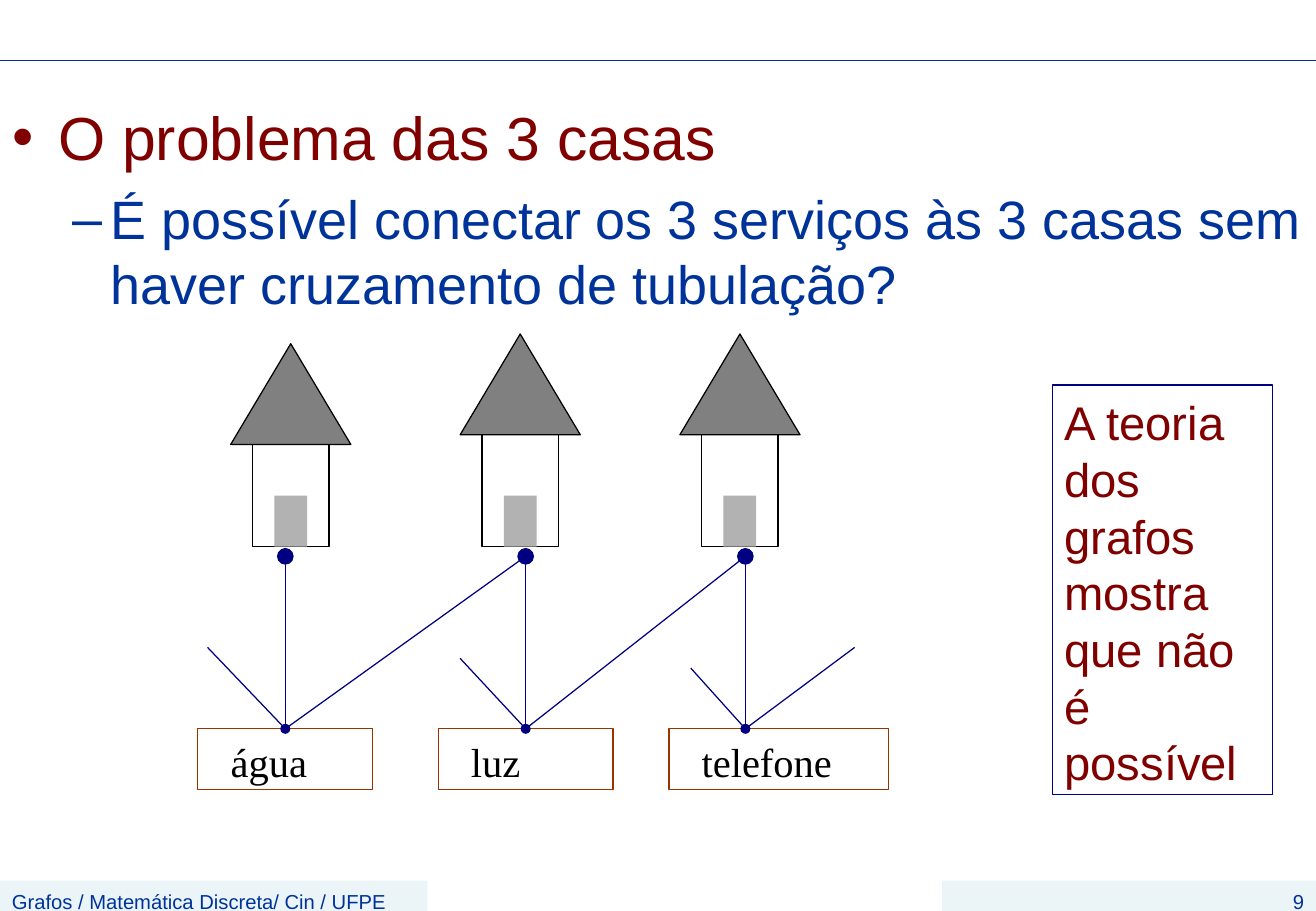
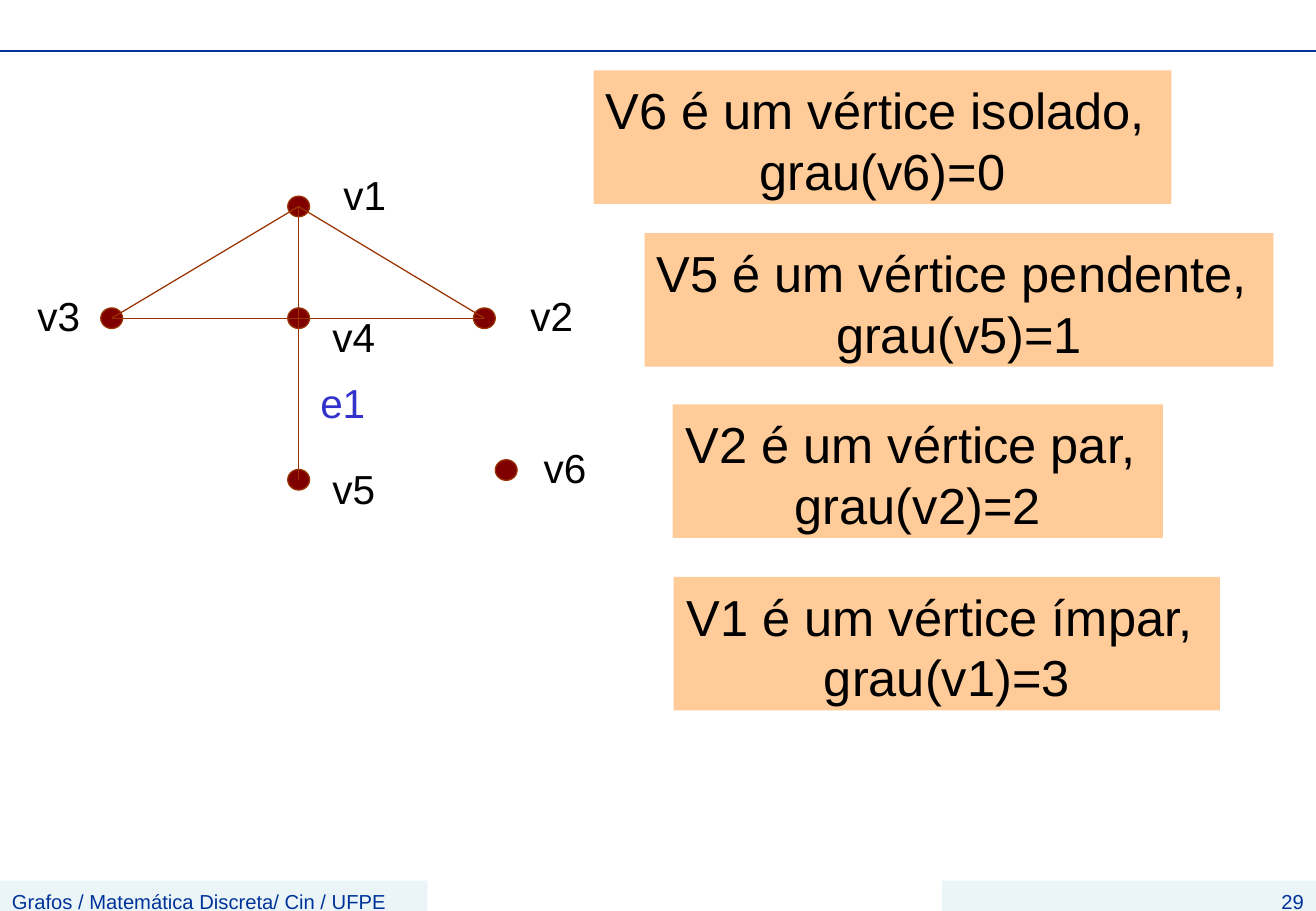
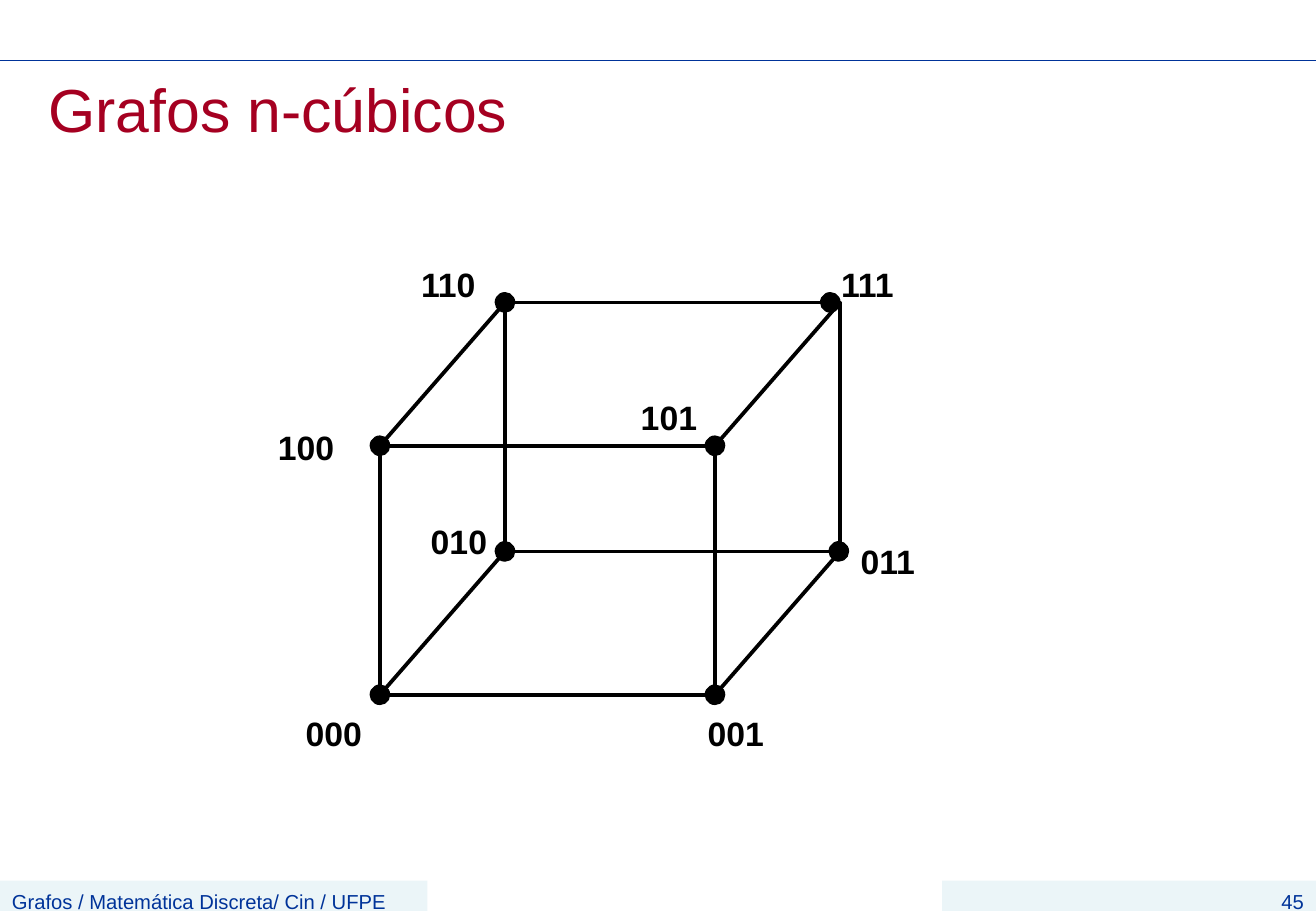
from dataclasses import dataclass

from pptx import Presentation
from pptx.dml.color import RGBColor
from pptx.enum.shapes import MSO_CONNECTOR, MSO_SHAPE
from pptx.enum.text import MSO_ANCHOR, MSO_AUTO_SIZE, PP_ALIGN
from pptx.oxml.ns import qn
from pptx.util import Inches, Pt
from lxml import etree

RECTANGLE = MSO_SHAPE.RECTANGLE
TRIANGLE = MSO_SHAPE.ISOSCELES_TRIANGLE
OVAL = MSO_SHAPE.OVAL
STRAIGHT = MSO_CONNECTOR.STRAIGHT
TOP = MSO_ANCHOR.TOP
NO_AUTOFIT = MSO_AUTO_SIZE.NONE
LEFT, CENTER, RIGHT = PP_ALIGN.LEFT, PP_ALIGN.CENTER, PP_ALIGN.RIGHT

TITLE_AND_CONTENT, TITLE_ONLY, BLANK = 1, 5, 6
WIDTH, HEIGHT = 10.84, 7.5
BLUE, NAVY, MAROON, BROWN = "003399", "000080", "800000", "993300"
CRIMSON, INDIGO, BLACK, WHITE = "A50021", "3333CC", "000000", "FFFFFF"
BAND, PEACH, ROOF, DOOR = "D9ECF3", "FFCC99", "808080", "B2B2B2"


@dataclass(frozen=True)
class House:
    left: float
    top: float


@dataclass(frozen=True)
class Service:
    name: str
    left: float
    width: float
    pipe_x: float
    stub_ends: tuple


@dataclass(frozen=True)
class Vertex:
    label: str
    x: float
    y: float
    label_left: float
    label_top: float


@dataclass(frozen=True)
class Note:
    text: str
    left: float
    top: float
    width: float


HOUSES = [House(1.9, 2.83), House(3.79, 2.75), House(5.6, 2.75)]
SERVICES = [
    Service("água", 1.63, 1.44, 2.35, ((1.71, 5.33),)),
    Service("luz", 3.61, 1.44, 4.33, ((3.79, 5.42),)),
    Service("telefone", 5.51, 1.81, 6.14, ((5.69, 5.5), (7.04, 5.33))),
]
DEGREE_VERTICES = [
    Vertex("v1", 2.46, 1.7, 2.73, 1.33),
    Vertex("v2", 3.99, 2.62, 4.27, 2.33),
    Vertex("v3", 0.92, 2.62, 0.21, 2.33),
    Vertex("v4", 2.46, 2.62, 2.64, 2.5),
    Vertex("v5", 2.46, 3.95, 2.64, 3.75),
    Vertex("v6", 4.17, 3.87, 4.38, 3.58),
]
DEGREE_EDGES = [("v3", "v2"), ("v5", "v1"), ("v3", "v1"), ("v1", "v2")]
NOTES = [
    Note("V6 é um vértice isolado, \ngrau(v6)=0", 4.89, 0.58, 4.76),
    Note("V5 é um vértice pendente, \ngrau(v5)=1", 5.31, 1.92, 5.18),
    Note("V2 é um vértice par, \ngrau(v2)=2", 5.54, 3.33, 4.04),
    Note("V1 é um vértice ímpar, \ngrau(v1)=3", 5.55, 4.75, 4.5),
]
CUBE_VERTICES = [
    Vertex("000", 3.13, 5.72, 2.42, 5.8),
    Vertex("001", 5.89, 5.72, 5.73, 5.8),
    Vertex("010", 4.16, 4.54, 3.45, 4.22),
    Vertex("011", 6.91, 4.54, 6.99, 4.38),
    Vertex("100", 3.13, 3.67, 2.19, 3.44),
    Vertex("101", 5.89, 3.67, 5.18, 3.2),
    Vertex("110", 4.16, 2.49, 3.37, 2.1),
    Vertex("111", 6.84, 2.49, 6.83, 2.1),
]


def color(value: str) -> RGBColor:
    return RGBColor.from_string(value)


def set_bullet(paragraph, symbol: str, ink: str, indent: float, hanging: float) -> None:
    properties = paragraph._p.get_or_add_pPr()
    properties.set("marL", str(Inches(indent)))
    properties.set("indent", str(-Inches(hanging)))
    bullet_color = etree.SubElement(properties, qn("a:buClr"))
    etree.SubElement(bullet_color, qn("a:srgbClr"), val=ink)
    etree.SubElement(properties, qn("a:buFont"), typeface="Arial")
    etree.SubElement(properties, qn("a:buChar"), char=symbol)


def format_paragraph(paragraph, text: str, *, size: float, ink: str, font: str = "Arial",
                     bold: bool = False, align=LEFT, leading: float = 1.2) -> None:
    paragraph.text = text
    paragraph.alignment = align
    paragraph.space_before = Pt(0)
    paragraph.line_spacing = Pt(size * leading)
    paragraph.font.size = Pt(size)
    paragraph.font.name = font
    paragraph.font.bold = bold
    paragraph.font.color.rgb = color(ink)


def prepare_frame(shape, wrap: bool = True, left_inset: float = 0.1):
    frame = shape.text_frame
    frame.word_wrap = wrap
    frame.auto_size = NO_AUTOFIT
    frame.vertical_anchor = TOP
    frame.margin_left, frame.margin_right = Inches(left_inset), Inches(0.1)
    frame.margin_top, frame.margin_bottom = Inches(0.07), Inches(0.05)
    return frame


def write(shape, text: str, *, wrap: bool = True, left_inset: float = 0.1, **text_format) -> None:
    """Fill a shape with one paragraph per line of text."""
    frame = prepare_frame(shape, wrap, left_inset)
    for index, line in enumerate(text.split("\n")):
        paragraph = frame.add_paragraph() if index else frame.paragraphs[0]
        format_paragraph(paragraph, line, **text_format)


def place(shape, left: float, top: float, width: float, height: float) -> None:
    shape.left, shape.top = Inches(left), Inches(top)
    shape.width, shape.height = Inches(width), Inches(height)


def add_box(slide, kind, left: float, top: float, width: float, height: float, *,
            fill: str | None = None, line: str | None = None, weight: float = 0.75):
    shape = slide.shapes.add_shape(kind, Inches(left), Inches(top), Inches(width), Inches(height))
    shape.shadow.inherit = False
    if fill:
        shape.fill.solid()
        shape.fill.fore_color.rgb = color(fill)
    else:
        shape.fill.background()
    if line:
        shape.line.color.rgb = color(line)
        shape.line.width = Pt(weight)
    else:
        shape.line.fill.background()
    return shape


def add_label(slide, text: str, left: float, top: float, width: float, height: float,
              **text_format) -> None:
    box = slide.shapes.add_textbox(Inches(left), Inches(top), Inches(width), Inches(height))
    write(box, text, **text_format)


def add_line(slide, start: tuple, end: tuple, ink: str, weight: float = 0.75):
    connector = slide.shapes.add_connector(
        STRAIGHT, Inches(start[0]), Inches(start[1]), Inches(end[0]), Inches(end[1]))
    connector.line.color.rgb = color(ink)
    connector.line.width = Pt(weight)
    etree.SubElement(connector._element.spPr, qn("a:effectLst"))
    return connector


def add_oval_ends(connector) -> None:
    """Put a medium dot at the start of a line and a large one at its end."""
    outline = connector.line._get_or_add_ln()
    for tag, size in (("a:headEnd", "med"), ("a:tailEnd", "lg")):
        etree.SubElement(outline, qn(tag), type="oval", w=size, len=size)


def add_dot(slide, vertex: Vertex, width: float, height: float, fill: str, line: str) -> None:
    add_box(slide, OVAL, vertex.x - width / 2, vertex.y - height / 2, width, height,
            fill=fill, line=line)


def add_band(slide, left: float, width: float, text: str, align) -> None:
    band = add_box(slide, RECTANGLE, left, 7.25, width, 0.25, fill=BAND)
    tint = band._element.spPr.find(qn("a:solidFill")).find(qn("a:srgbClr"))
    etree.SubElement(tint, qn("a:alpha"), val="50000")
    write(band, text, size=12, ink=BLUE, align=align)


def add_slide(presentation, layout: int, number: int, rule_top: float = 0.5):
    """Add a slide with the shared footer bands and top rule."""
    slide = presentation.slides.add_slide(presentation.slide_layouts[layout])
    add_band(slide, 0, 3.52, "Grafos / Matemática Discreta/ Cin / UFPE", LEFT)
    add_band(slide, 7.76, 3.08, str(number), RIGHT)
    add_line(slide, (0, rule_top), (WIDTH, rule_top), BLUE)
    return slide


def draw_house(slide, house: House) -> None:
    ground, roof_height = 4.5, 0.83
    wall_top = house.top + roof_height
    add_box(slide, RECTANGLE, house.left + 0.18, wall_top, 0.63, ground - wall_top,
            fill=WHITE, line=BLACK)
    add_box(slide, TRIANGLE, house.left, house.top, 0.99, roof_height, fill=ROOF, line=BLACK)
    add_box(slide, RECTANGLE, house.left + 0.36, ground - 0.42, 0.27, 0.42, fill=DOOR)


def build_houses_slide(presentation) -> None:
    slide = add_slide(presentation, TITLE_AND_CONTENT, 9)
    title = slide.shapes.title._element
    title.getparent().remove(title)

    body = slide.placeholders[1]
    place(body, 0, 0.75, WIDTH, 2.08)
    frame = prepare_frame(body)
    heading = frame.paragraphs[0]
    set_bullet(heading, "•", MAROON, 0.38, 0.38)
    format_paragraph(heading, "O problema das 3 casas", size=36, ink=MAROON)
    question = frame.add_paragraph()
    question.level = 1
    set_bullet(question, "–", BLUE, 0.81, 0.31)
    format_paragraph(
        question, "É possível conectar os 3 serviços às 3 casas sem haver cruzamento de tubulação?",
        size=32, ink=BLUE)
    question.space_before = Pt(8)

    for house in HOUSES:
        draw_house(slide, house)

    service_top, house_end = 6, 4.58
    for index, service in enumerate(SERVICES):
        box = add_box(slide, RECTANGLE, service.left, service_top, service.width, 0.5,
                      fill=WHITE, line=BROWN)
        write(box, service.name, left_inset=0.27, size=24, ink=BLACK, font="Times New Roman")
        start = (service.pipe_x, service_top)
        main_pipe = add_line(slide, start, (service.pipe_x, house_end), NAVY)
        add_oval_ends(main_pipe)
        pipes = [main_pipe]
        ends = list(service.stub_ends)
        if index + 1 < len(SERVICES):
            ends.append((SERVICES[index + 1].pipe_x, house_end))
        pipes += [add_line(slide, start, end, NAVY) for end in ends]
        if abs(service.left + service.width / 2 - service.pipe_x) < 0.01:
            for pipe in pipes:
                pipe.begin_connect(box, 0)

    answer = add_box(slide, RECTANGLE, 8.67, 3.17, 1.81, 3.37, line=NAVY)
    write(answer, "A teoria dos grafos mostra que não é possível", size=28, ink=MAROON)


def build_degrees_slide(presentation) -> None:
    slide = add_slide(presentation, BLANK, 29, rule_top=0.42)
    for vertex in DEGREE_VERTICES:
        add_dot(slide, vertex, 0.18, 0.17, MAROON, BROWN)
        add_label(slide, vertex.label, vertex.label_left, vertex.label_top, 0.55, 0.5,
                  wrap=False, size=24, ink=BLACK)
    points = {vertex.label: (vertex.x, vertex.y) for vertex in DEGREE_VERTICES}
    for start, end in DEGREE_EDGES:
        add_line(slide, points[start], points[end], BROWN)
    add_label(slide, "e1", 2.54, 3.04, 0.57, 0.5, wrap=False, size=24, ink=INDIGO)
    for note in NOTES:
        panel = add_box(slide, RECTANGLE, note.left, note.top, note.width, 1.1, fill=PEACH)
        write(panel, note.text, wrap=False, size=30, ink=BLACK, align=CENTER)


def build_cube_slide(presentation) -> None:
    slide = add_slide(presentation, TITLE_ONLY, 45)
    title = slide.shapes.title
    place(title, 0.3, 0.58, 10.37, 1.04)
    write(title, "Grafos n-cúbicos", size=36, ink=CRIMSON, leading=1.08)

    front_left, front_top, back_left, back_top = 3.13, 3.67, 4.16, 2.49
    face_width, face_height = 2.76, 2.05
    for left, top in ((front_left, front_top), (back_left, back_top)):
        add_box(slide, RECTANGLE, left, top, face_width, face_height, line=BLACK, weight=2.25)
    for across in (0, face_width):
        for down in (0, face_height):
            add_line(slide, (back_left + across, back_top + down),
                     (front_left + across, front_top + down), BLACK, 2.25)
    for vertex in CUBE_VERTICES:
        add_dot(slide, vertex, 0.16, 0.16, BLACK, BLACK)
        add_label(slide, vertex.label, vertex.label_left, vertex.label_top, 0.87, 0.44,
                  size=20, ink=BLACK, bold=True)


def main() -> None:
    presentation = Presentation()
    presentation.slide_width, presentation.slide_height = Inches(WIDTH), Inches(HEIGHT)
    build_houses_slide(presentation)
    build_degrees_slide(presentation)
    build_cube_slide(presentation)
    presentation.save("out.pptx")


if __name__ == "__main__":
    main()
